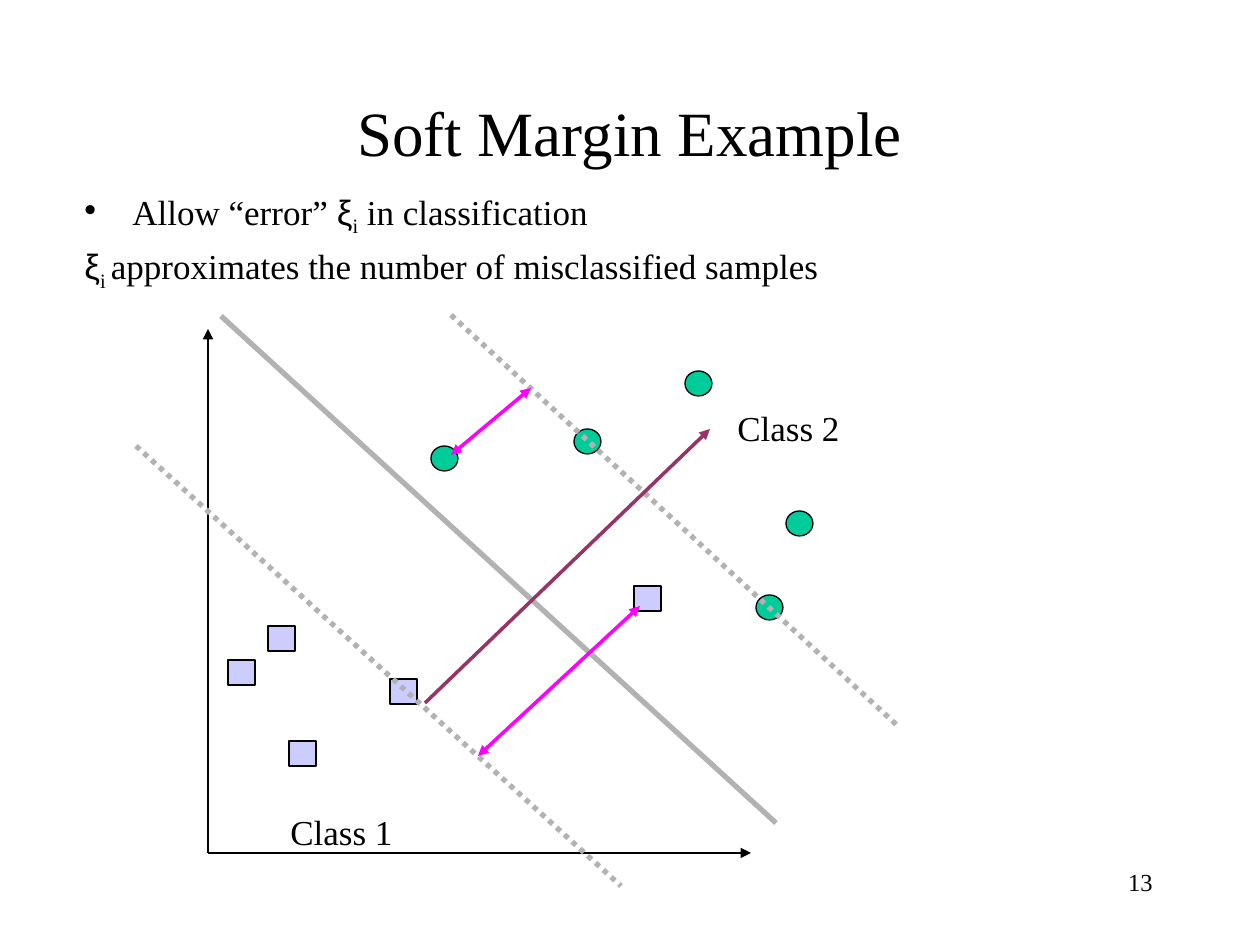
from lxml import etree
from pptx import Presentation
from pptx.dml.color import RGBColor
from pptx.enum.dml import MSO_LINE
from pptx.enum.shapes import MSO_CONNECTOR, MSO_SHAPE
from pptx.enum.text import MSO_ANCHOR, PP_ALIGN
from pptx.oxml.ns import qn
from pptx.util import Pt

PX = 914400 / 126  # EMU per px
SERIF, SANS = "Times New Roman", "Arial"
BLACK = RGBColor(0x00, 0x00, 0x00)
GREEN = RGBColor(0x00, 0xCC, 0x99)
LAVENDER = RGBColor(0xCC, 0xCC, 0xFF)
GREY = RGBColor(0xB2, 0xB2, 0xB2)
PLUM = RGBColor(0x99, 0x33, 0x66)
MAGENTA = RGBColor(0xFF, 0x00, 0xFF)
LEFT, CENTER, RIGHT = PP_ALIGN.LEFT, PP_ALIGN.CENTER, PP_ALIGN.RIGHT
OVAL, SQUARE = MSO_SHAPE.OVAL, MSO_SHAPE.RECTANGLE
STRAIGHT = MSO_CONNECTOR.STRAIGHT
DOTTED = MSO_LINE.ROUND_DOT
MIDDLE = MSO_ANCHOR.MIDDLE
MARK_W, MARK_H = 27, 25

CLASS_2_MARKS = [(574, 429), (685, 371), (756, 595), (431, 446), (786, 511)]
CLASS_1_MARKS = [(268, 626), (634, 586), (390, 679), (289, 741), (228, 660)]


def emu(*lengths):
    return [round(v * PX) for v in lengths]


def add_run(p, text, size=20, font=SERIF, color=BLACK, subscript=False):
    r = p.add_run()
    r.text = text
    r.font.size, r.font.name = Pt(size), font
    r.font.color.rgb = color
    if subscript:
        r._r.get_or_add_rPr().set("baseline", "-25000")


def add_label(slide, box, text="", size=20, align=LEFT, wrap=True):
    tf = slide.shapes.add_textbox(*emu(*box)).text_frame
    tf.word_wrap = wrap
    p = tf.paragraphs[0]
    p.alignment = align
    if text:
        add_run(p, text, size=size)
    return tf


def add_bullet(p, indent):
    pPr = p._p.get_or_add_pPr()
    [hang] = emu(indent)
    pPr.set("marL", str(hang))
    pPr.set("indent", str(-hang))
    etree.SubElement(pPr, qn("a:buChar")).set("char", "•")


def add_mark(slide, kind, x, y, color):
    sp = slide.shapes.add_shape(kind, *emu(x, y, MARK_W, MARK_H))
    sp.shadow.inherit = False
    sp.fill.solid()
    sp.fill.fore_color.rgb = color
    sp.line.color.rgb = BLACK
    sp.line.width = Pt(0.75)


def add_line(slide, start, end, color, width, dash=None, arrows=()):
    line = slide.shapes.add_connector(STRAIGHT, *emu(*start, *end))
    line.line.color.rgb = color
    line.line.width = Pt(width)
    if dash:
        line.line.dash_style = dash
    ln = line.line._get_or_add_ln()
    for name in arrows:
        etree.SubElement(ln, qn(f"a:{name}")).set("type", "triangle")
    etree.SubElement(line._element.spPr, qn("a:effectLst"))


def add_title(slide, text):
    title = slide.shapes.title
    title.left, title.top, title.width, title.height = emu(94, 84, 1071, 95)
    tf = title.text_frame
    tf.vertical_anchor = MIDDLE
    p = tf.paragraphs[0]
    p.alignment = CENTER
    add_run(p, text, size=36)


def add_body(slide):
    tf = add_label(slide, (72, 184, 1071, 129))
    p = tf.paragraphs[0]
    add_bullet(p, 48)
    add_run(p, "Allow “error” ")
    add_run(p, "ξ", font=SANS)
    add_run(p, "i", subscript=True)
    add_run(p, " in classification")
    p = tf.add_paragraph()
    p.space_before = Pt(4)
    add_run(p, "ξ", font=SANS)
    add_run(p, "i ", subscript=True)
    add_run(p, "approximates the number of misclassified samples")


def add_diagram(slide):
    # Axes
    origin = (208, 853)
    for end in ((208, 329), (751, 853)):
        add_line(slide, origin, end, BLACK, 1, arrows=["tailEnd"])

    # Samples and class names
    for kind, marks, color in ((OVAL, CLASS_2_MARKS, GREEN),
                               (SQUARE, CLASS_1_MARKS, LAVENDER)):
        for x, y in marks:
            add_mark(slide, kind, x, y, color)
    add_label(slide, (278, 804, 152, 58), "Class 1", wrap=False)
    add_label(slide, (725, 400, 152, 58), "Class 2", wrap=False)

    # Margins and separating line
    add_line(slide, (451, 315), (899, 727), GREY, 3, dash=DOTTED)
    add_line(slide, (136, 446), (621, 886), GREY, 3, dash=DOTTED)
    add_line(slide, (221, 316), (776, 823), GREY, 3)

    # Normal vector and error distances
    add_line(slide, (425, 703), (710, 429), PLUM, 2, arrows=["tailEnd"])
    for start, end in (((640, 606), (478, 756)), ((531, 388), (451, 455))):
        add_line(slide, start, end, MAGENTA, 2, arrows=["headEnd", "tailEnd"])


def main():
    prs = Presentation()
    prs.slide_width, prs.slide_height = emu(1260, 945)
    slide = prs.slides.add_slide(prs.slide_layouts[5])
    add_title(slide, "Soft Margin Example")
    add_body(slide)
    add_diagram(slide)
    add_label(slide, (903, 861, 262, 63), "13", size=14, align=RIGHT)
    prs.save("out.pptx")


if __name__ == "__main__":
    main()
